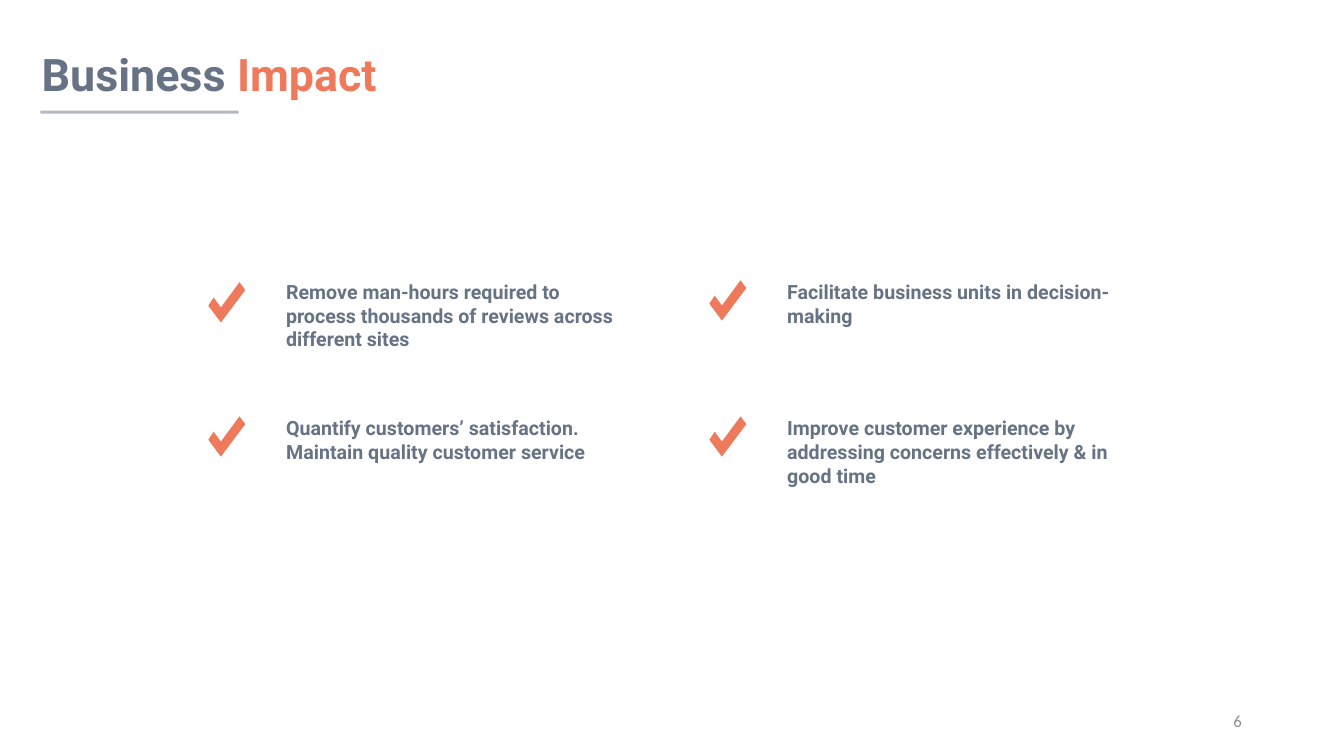
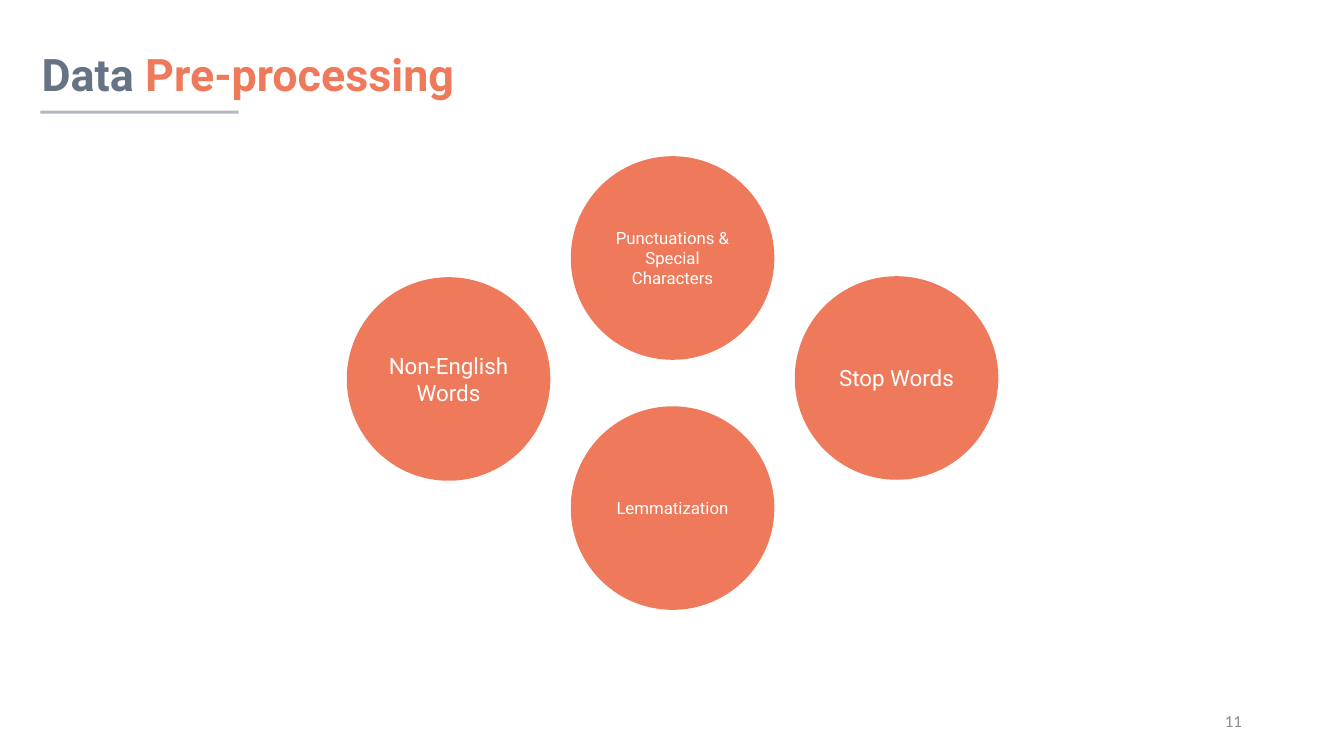
from lxml import etree
from pptx import Presentation
from pptx.dml.color import RGBColor
from pptx.enum.shapes import MSO_SHAPE
from pptx.enum.text import MSO_ANCHOR, MSO_AUTO_SIZE, PP_ALIGN
from pptx.oxml.ns import qn
from pptx.util import Pt

COLORS = {
    "slate": "667385",
    "title_accent": "EF795B",
    "coral": "EE795B",
    "white": "FFFFFF",
    "number": "8C8C8C",
}
FONT = "Roboto"
NUMBER_FONT = "Calibri"
INSET = 7.2

IMPACT_TITLE = ("Business", " Impact")
IMPACTS = [
    ("Remove man-hours required to process thousands of reviews across different sites", 0, 0, 201.6),
    ("Facilitate business units in decision-making", 1, 0, 200.2),
    ("Quantify customers’ satisfaction. Maintain quality customer service", 0, 1, 297.4),
    ("Improve customer experience by addressing concerns effectively & in good time", 1, 1, 297.4),
]
IMPACT_LEFT, IMPACT_TOP = 197.3, 193
COLUMN_STEP, ROW_STEP = 357.9, 97.2
TICK_LEFT = 148.8
TICK = [(22.3, 0), (26.4, 5.6), (9, 28.8), (0, 16.7), (3.8, 11), (9, 18)]

PREP_TITLE = ("Data", " Pre-processing")
STEPS = [
    ("Non-English Words", 16, 0, 198),
    ("Lemmatization", 12, 1, 290.2),
    ("Punctuations & Special Characters", 12, 1, 111.6),
    ("Stop Words", 16, 2, 197.3),
]
CIRCLE_LEFT, CIRCLE_STEP, CIRCLE_SIZE = 247.7, 160, 145.4


def rgb(name):
    return RGBColor.from_string(COLORS[name])


def add_run(para, text, size, color, bold=False, font=FONT):
    span = para.add_run()
    span.text = text
    span.font.name = font
    span.font.size = Pt(size)
    span.font.bold = bold
    span.font.color.rgb = rgb(color)


def set_frame(shape, anchor=MSO_ANCHOR.TOP, align=PP_ALIGN.LEFT):
    frame = shape.text_frame
    frame.word_wrap = True
    frame.auto_size = MSO_AUTO_SIZE.NONE
    frame.vertical_anchor = anchor
    frame.margin_left = frame.margin_right = Pt(INSET)
    frame.margin_top = frame.margin_bottom = Pt(INSET)
    para = frame.paragraphs[0]
    para.alignment = align
    return para


def paint(shape, color):
    shape.shadow.inherit = False
    shape.fill.solid()
    shape.fill.fore_color.rgb = rgb(color)
    shape.line.fill.background()


def add_page(deck, title, number):
    page = deck.slides.add_slide(deck.slide_layouts[5])
    heading = page.shapes.title
    heading.left, heading.top = Pt(22.5), Pt(30.2)
    heading.width, heading.height = Pt(400), Pt(47.5)
    para = set_frame(heading)
    para.line_spacing = 0.9
    for text, color in zip(title, ("slate", "title_accent")):
        add_run(para, text, 32, color, bold=True)

    rule = page.shapes.add_shape(MSO_SHAPE.RECTANGLE, Pt(28.8), Pt(79), Pt(141.8), Pt(2.2))
    paint(rule, "slate")
    tint = rule.fill._xPr.find(".//" + qn("a:srgbClr"))
    etree.SubElement(tint, qn("a:alpha")).set("val", "50000")

    box = page.shapes.add_textbox(Pt(678.2), Pt(500.4), Pt(216), Pt(28.8))
    para = set_frame(box, MSO_ANCHOR.MIDDLE, PP_ALIGN.RIGHT)
    add_run(para, str(number), 12, "number", font=NUMBER_FONT)
    return page


def add_tick(page, left, top):
    corners = [(Pt(left + x), Pt(top + y)) for x, y in TICK]
    builder = page.shapes.build_freeform(*corners[0])
    builder.add_line_segments(corners[1:], close=True)
    paint(builder.convert_to_shape(), "coral")


def build_impact(deck):
    page = add_page(deck, IMPACT_TITLE, 6)
    for text, column, row, tick_top in IMPACTS:
        shift = column * COLUMN_STEP
        add_tick(page, TICK_LEFT + shift, tick_top)
        box = page.shapes.add_textbox(
            Pt(IMPACT_LEFT + shift), Pt(IMPACT_TOP + row * ROW_STEP), Pt(256.3), Pt(90))
        add_run(set_frame(box), text, 14, "slate", bold=True)


def build_preprocessing(deck):
    page = add_page(deck, PREP_TITLE, 11)
    for text, size, column, top in STEPS:
        circle = page.shapes.add_shape(
            MSO_SHAPE.OVAL, Pt(CIRCLE_LEFT + column * CIRCLE_STEP), Pt(top),
            Pt(CIRCLE_SIZE), Pt(CIRCLE_SIZE))
        paint(circle, "coral")
        add_run(set_frame(circle, MSO_ANCHOR.MIDDLE, PP_ALIGN.CENTER), text, size, "white")


def main():
    deck = Presentation()
    deck.slide_width, deck.slide_height = Pt(960), Pt(540)
    build_impact(deck)
    build_preprocessing(deck)
    deck.save("out.pptx")


if __name__ == "__main__":
    main()
